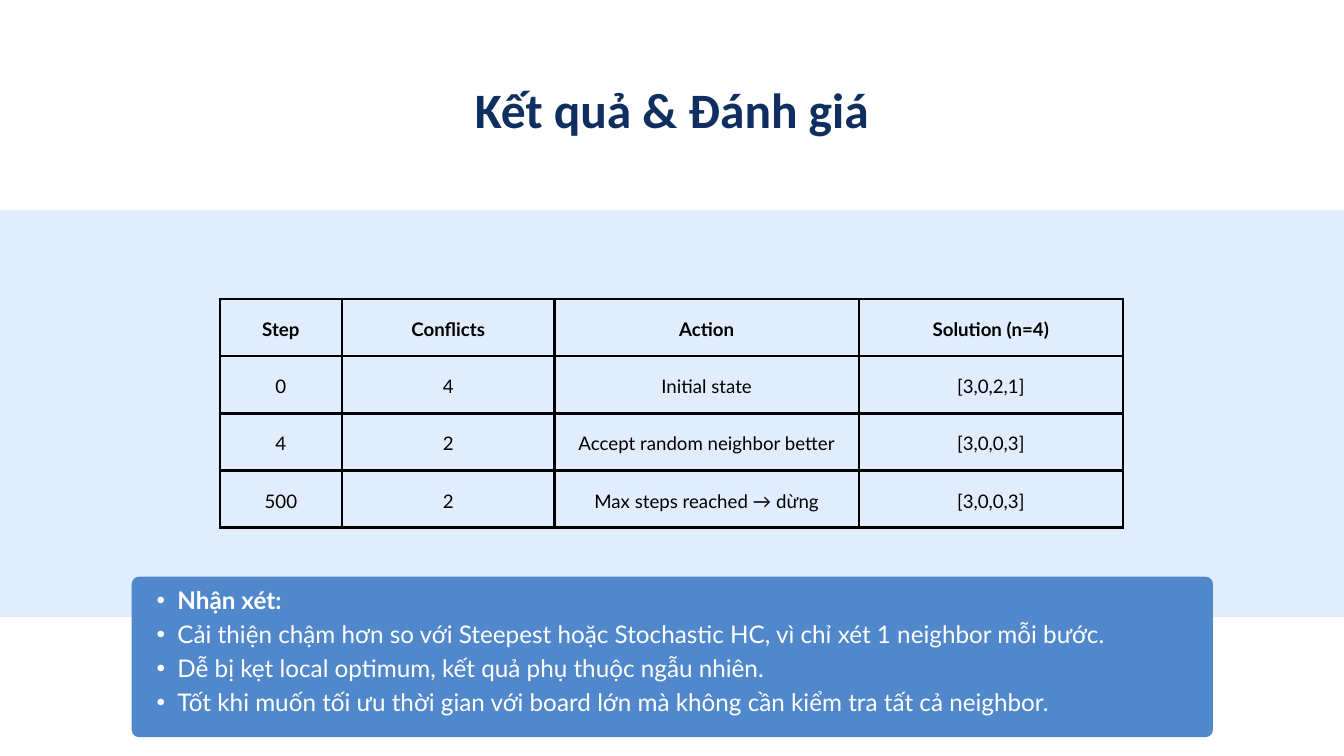
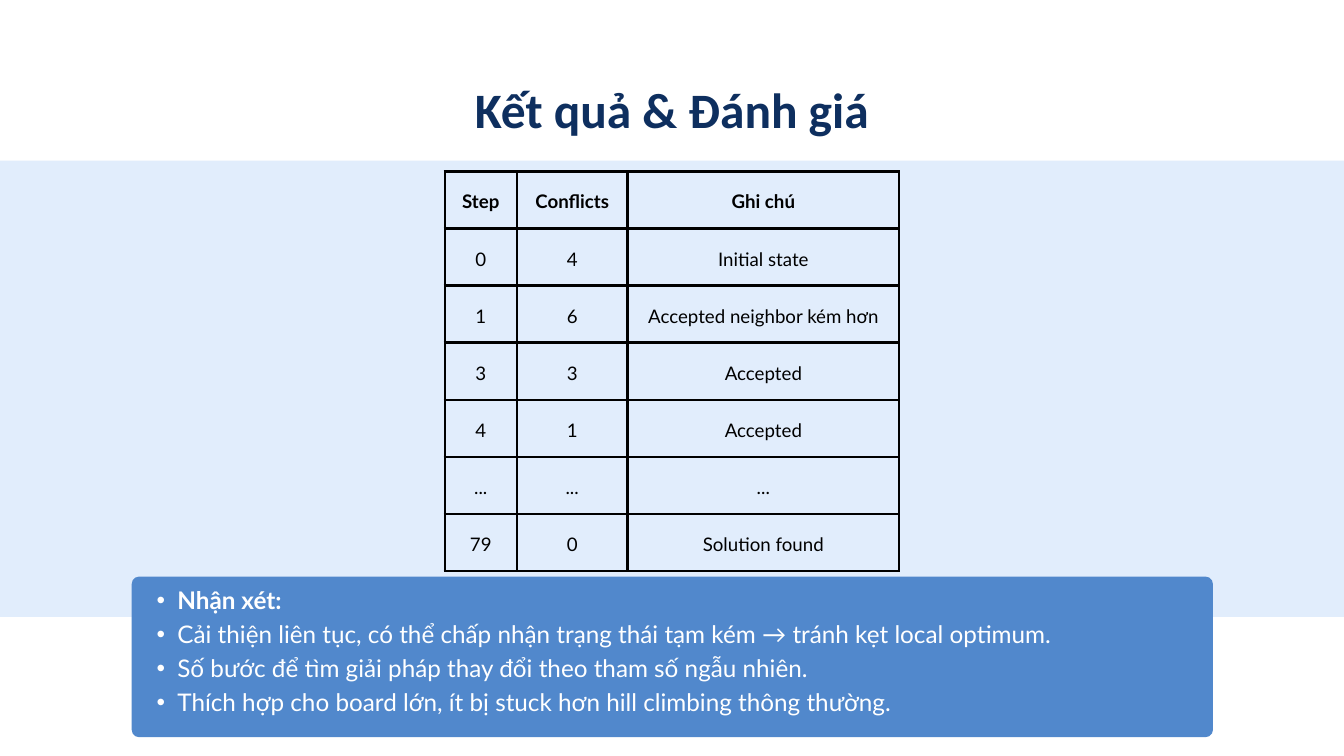
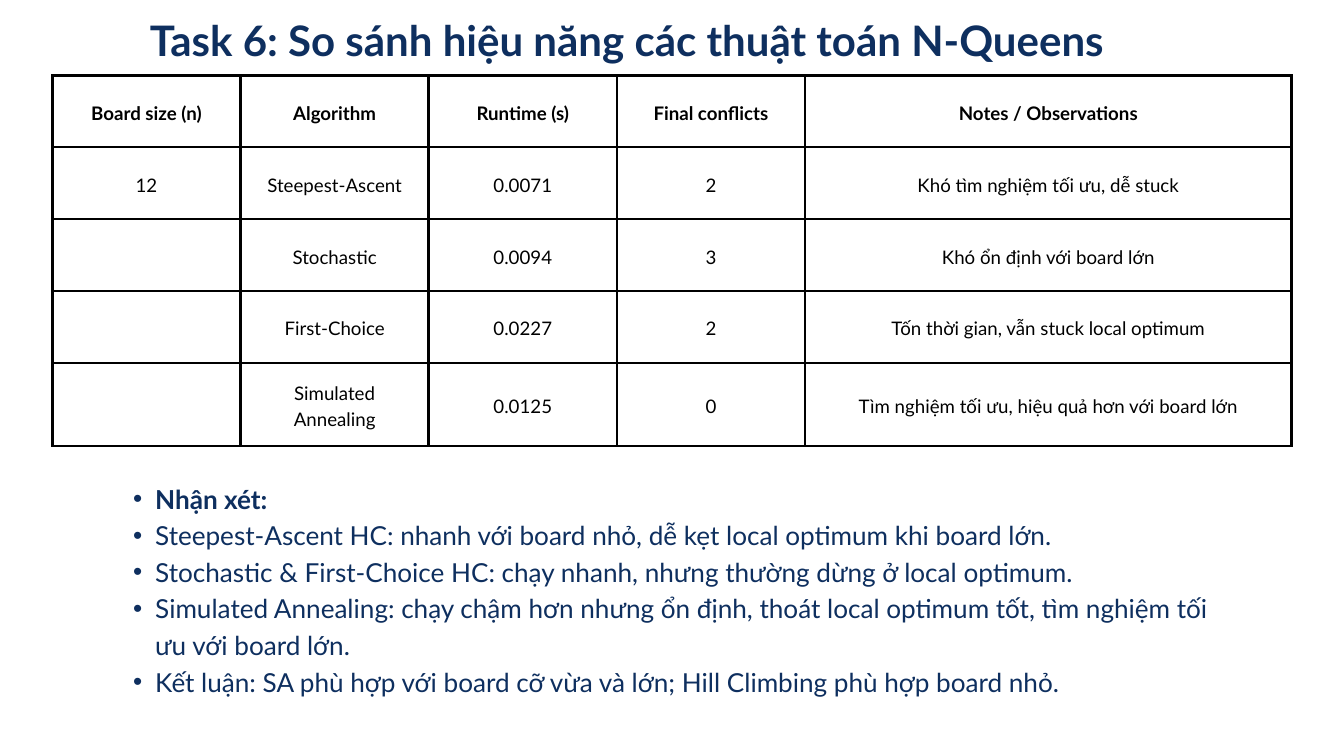
from lxml import etree
from pptx import Presentation
from pptx.dml.color import RGBColor
from pptx.enum.shapes import MSO_SHAPE as SHAPE
from pptx.enum.text import MSO_ANCHOR as ANCHOR, PP_ALIGN as ALIGN
from pptx.oxml.ns import qn
from pptx.util import Inches, Pt

COLORS = {
    "navy": "0E2F5F",
    "band": "E1EDFC",
    "panel": "5188CC",
    "white": "FFFFFF",
    "black": "000000",
}
SLIDE_W, SLIDE_H = 20, 11.25
BAND_BOTTOM = 9.18
PANEL_X, PANEL_W, PANEL_BOTTOM = 1.96, 16.09, 10.97
CELL_INSET = 0.21
BORDER_PT = 3
RESULT_TITLE = "Kết quả & Đánh giá"
REMARK_HEADING = "Nhận xét:"

FIRST_CHOICE_STEPS = [
    ["Step", "Conflicts", "Action", "Solution (n=4)"],
    ["0", "4", "Initial state", "[3,0,2,1]"],
    ["4", "2", "Accept random neighbor better", "[3,0,0,3]"],
    ["500", "2", "Max steps reached → dừng", "[3,0,0,3]"],
]
FIRST_CHOICE_REMARKS = [
    "Cải thiện chậm hơn so với Steepest hoặc Stochastic HC, vì chỉ xét 1 neighbor mỗi bước.",
    "Dễ bị kẹt local optimum, kết quả phụ thuộc ngẫu nhiên.",
    "Tốt khi muốn tối ưu thời gian với board lớn mà không cần kiểm tra tất cả neighbor.",
]
ANNEALING_STEPS = [
    ["Step", "Conflicts", "Ghi chú"],
    ["0", "4", "Initial state"],
    ["1", "6", "Accepted neighbor kém hơn"],
    ["3", "3", "Accepted"],
    ["4", "1", "Accepted"],
    ["...", "...", "..."],
    ["79", "0", "Solution found"],
]
ANNEALING_REMARKS = [
    "Cải thiện liên tục, có thể chấp nhận trạng thái tạm kém → tránh kẹt local optimum.",
    "Số bước để tìm giải pháp thay đổi theo tham số ngẫu nhiên.",
    "Thích hợp cho board lớn, ít bị stuck hơn hill climbing thông thường.",
]
COMPARISON = [
    ["Board size (n)", "Algorithm", "Runtime (s)", "Final conflicts", "Notes / Observations"],
    ["12", "Steepest-Ascent", "0.0071", "2", "Khó tìm nghiệm tối ưu, dễ stuck"],
    ["", "Stochastic", "0.0094", "3", "Khó ổn định với board lớn"],
    ["", "First-Choice", "0.0227", "2", "Tốn thời gian, vẫn stuck local optimum"],
    ["", "Simulated Annealing", "0.0125", "0", "Tìm nghiệm tối ưu, hiệu quả hơn với board lớn"],
]
COMPARISON_REMARKS = [
    "Steepest-Ascent HC: nhanh với board nhỏ, dễ kẹt local optimum khi board lớn.",
    "Stochastic & First-Choice HC: chạy nhanh, nhưng thường dừng ở local optimum.",
    "Simulated Annealing: chạy chậm hơn nhưng ổn định, thoát local optimum tốt, "
    "tìm nghiệm tối ưu với board lớn.",
    "Kết luận: SA phù hợp với board cỡ vừa và lớn; Hill Climbing phù hợp board nhỏ.",
]


def rgb(name):
    return RGBColor.from_string(COLORS[name])


def add_slide(prs):
    s = prs.slides.add_slide(prs.slide_layouts[6])
    s.background.fill.solid()
    s.background.fill.fore_color.rgb = rgb("white")
    return s


def add_run(p, text, size, color, bold=False, font="Lato"):
    r = p.add_run()
    r.text = text
    r.font.name = font
    r.font.size = Pt(size)
    r.font.bold = bold
    r.font.color.rgb = rgb(color)


def add_block(s, shape, x, y, w, h, color):
    sp = s.shapes.add_shape(shape, Inches(x), Inches(y), Inches(w), Inches(h))
    sp.shadow.inherit = False
    sp.fill.solid()
    sp.fill.fore_color.rgb = rgb(color)
    sp.line.fill.background()
    return sp


def add_text_frame(s, x, y, w, h, inset=0):
    tf = s.shapes.add_textbox(Inches(x), Inches(y), Inches(w), Inches(h)).text_frame
    tf.word_wrap = True
    tf.margin_left = tf.margin_right = tf.margin_top = tf.margin_bottom = Inches(inset)
    return tf


def add_title(s, text, box, size, leading, align=ALIGN.LEFT, font="Lato"):
    p = add_text_frame(s, *box).paragraphs[0]
    p.alignment = align
    p.line_spacing = Pt(leading)
    add_run(p, text, size, "navy", True, font)


def set_bullet(p, hang):
    """Hang the text one step to the right of its bullet, which is itself one step in."""
    p.level = 1
    pPr = p._p.get_or_add_pPr()
    pPr.set("marL", str(Inches(2 * hang)))
    pPr.set("indent", str(-Inches(hang)))
    etree.SubElement(pPr, qn("a:buFont"), typeface="Arial")
    etree.SubElement(pPr, qn("a:buChar"), char="•")


def add_remarks(tf, remarks, size, color, hang):
    """Write a bold heading and the remarks as one bulleted list."""
    for i, text in enumerate([REMARK_HEADING, *remarks]):
        p = tf.paragraphs[0] if i == 0 else tf.add_paragraph()
        set_bullet(p, hang)
        p.line_spacing = Pt(size * 1.4)
        add_run(p, text, size, color, bold=i == 0)


def add_remark_panel(s, remarks):
    top, h = 8.58, 2.39
    panel = add_block(s, SHAPE.ROUNDED_RECTANGLE, PANEL_X, top, PANEL_W, h, "panel")
    panel.adjustments[0] = 0.11 / h
    text_top = 8.34
    tf = add_text_frame(s, PANEL_X, text_top, PANEL_W, PANEL_BOTTOM - text_top, 0.06)
    tf.vertical_anchor = ANCHOR.MIDDLE
    add_remarks(tf, remarks, 26, "white", 0.31)


def set_borders(cell):
    tcPr = cell._tc.get_or_add_tcPr()
    for side in ("lnL", "lnR", "lnT", "lnB"):
        ln = etree.SubElement(tcPr, qn(f"a:{side}"), w=str(Pt(BORDER_PT)))
        fill = etree.SubElement(ln, qn("a:solidFill"))
        etree.SubElement(fill, qn("a:srgbClr"), val=COLORS["black"])


def fill_cell(cell, text, bold):
    set_borders(cell)
    cell.fill.background()
    cell.vertical_anchor = ANCHOR.MIDDLE
    cell.margin_left = cell.margin_right = Inches(CELL_INSET)
    cell.margin_top = cell.margin_bottom = Inches(CELL_INSET)
    if text:
        p = cell.text_frame.paragraphs[0]
        p.alignment = ALIGN.CENTER
        p.line_spacing = Pt(28)
        add_run(p, text, 20, "black", bold)


def add_grid(s, rows, x, y, widths, heights):
    frame = s.shapes.add_table(len(rows), len(widths), Inches(x), Inches(y),
                               Inches(sum(widths)), Inches(sum(heights)))
    table = frame.table
    table.first_row = table.horz_banding = False
    for column, w in zip(table.columns, widths):
        column.width = Inches(w)
    for i, (row, h) in enumerate(zip(rows, heights)):
        table.rows[i].height = Inches(h)
        for j, text in enumerate(row):
            fill_cell(table.cell(i, j), text, bold=i == 0)


def add_result_slide(prs, band_top, rows, x, y, widths, remarks):
    s = add_slide(prs)
    add_block(s, SHAPE.RECTANGLE, 0, band_top, SLIDE_W, BAND_BOTTOM - band_top, "band")
    add_grid(s, rows, x, y, widths, [0.85] * len(rows))
    add_title(s, RESULT_TITLE, (5.69, 1.12, 8.62, 1.03), 53, 67.3, ALIGN.CENTER, "Calibri")
    add_remark_panel(s, remarks)


def add_comparison_slide(prs):
    s = add_slide(prs)
    add_grid(s, COMPARISON, 0.78, 1.12, [2.8] * 4 + [7.24], [1.07] * 4 + [1.24])
    add_title(s, "Task 6: So sánh hiệu năng các thuật toán N-Queens",
              (2.23, 0.17, 15.54, 0.79), 45, 57.1)
    tf = add_text_frame(s, 1.65, 7.11, 16.69, 3.23)
    add_remarks(tf, COMPARISON_REMARKS, 28, "navy", 0.33)


def main():
    prs = Presentation()
    prs.slide_width, prs.slide_height = Inches(SLIDE_W), Inches(SLIDE_H)
    add_result_slide(prs, 3.13, FIRST_CHOICE_STEPS, 3.27, 4.45,
                     [1.82, 3.16, 4.53, 3.93], FIRST_CHOICE_REMARKS)
    add_result_slide(prs, 2.39, ANNEALING_STEPS, 6.62, 2.55,
                     [1.07, 1.65, 4.04], ANNEALING_REMARKS)
    add_comparison_slide(prs)
    prs.save("out.pptx")


if __name__ == "__main__":
    main()
